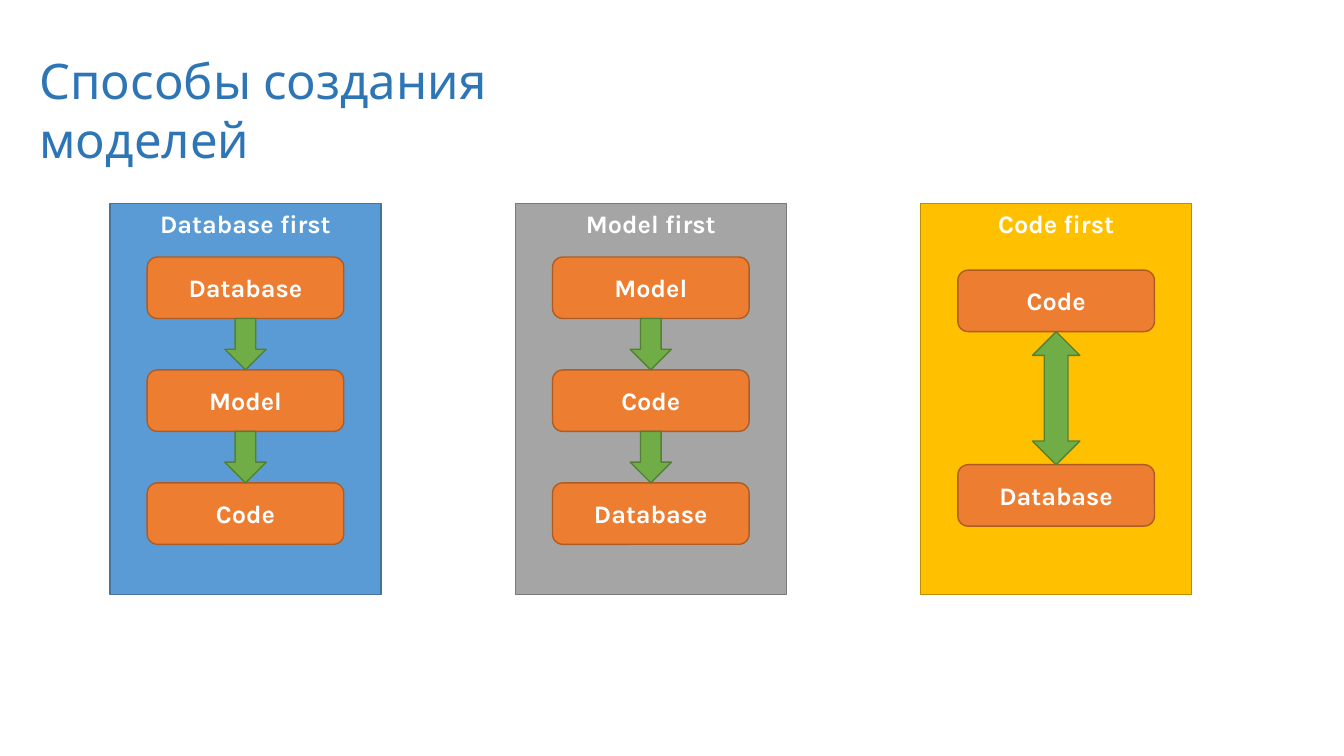
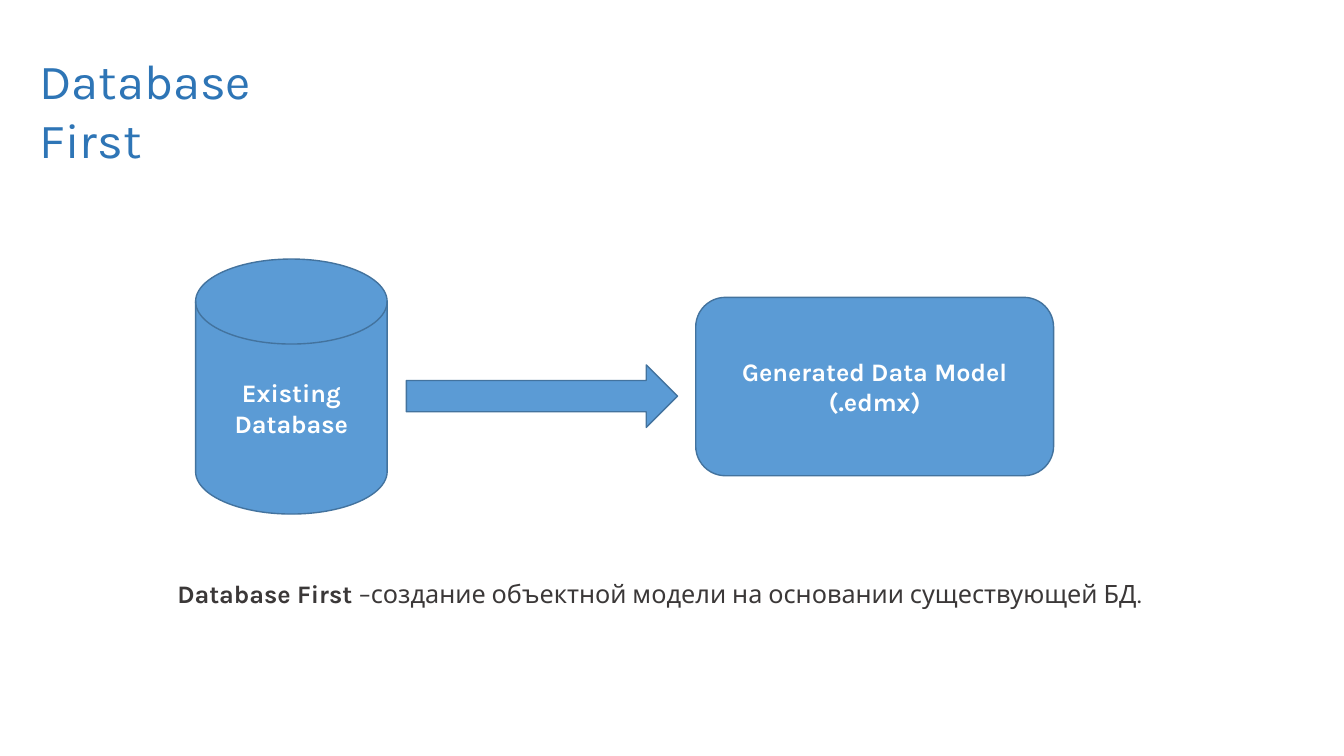
from dataclasses import dataclass

from pptx import Presentation
from pptx.dml.color import RGBColor
from pptx.enum.shapes import MSO_SHAPE as Preset
from pptx.enum.text import MSO_ANCHOR as Anchor, MSO_AUTO_SIZE as AutoSize, PP_ALIGN as Align
from pptx.util import Inches, Pt


@dataclass(frozen=True)
class Theme:
    font: str = "Karla"
    title_size: int = 35
    text_size: int = 18
    line_width: int = 1
    title: str = "2E75B6"
    body: str = "3B3838"
    on_fill: str = "FFFFFF"
    blue: tuple = ("5B9BD5", "43739E")
    gray: tuple = ("A5A5A5", "7A7A7A")
    gold: tuple = ("FFC000", "BD8E00")
    orange: tuple = ("ED7D31", "AF5C24")
    green: tuple = ("70AD47", "538035")


class Deck:
    """Draws styled elements on the current slide of a presentation."""

    def __init__(self, theme):
        self.theme = theme
        self.presentation = Presentation()
        self.presentation.slide_width = Inches(13.33)
        self.presentation.slide_height = Inches(7.5)
        self.slide = None

    def style_runs(self, paragraph, size, color, bold=False):
        for run in paragraph.runs:
            run.font.name = self.theme.font
            run.font.size = Pt(size)
            run.font.bold = bold
            run.font.color.rgb = RGBColor.from_string(color)

    def add_slide(self, title, title_width):
        layout = self.presentation.slide_layouts[5]
        self.slide = self.presentation.slides.add_slide(layout)
        shape = self.slide.shapes.title
        shape.left, shape.top = Inches(0.29), Inches(0.45)
        shape.width, shape.height = Inches(title_width), Inches(0.69)
        frame = shape.text_frame
        frame.text = title
        frame.word_wrap = True
        frame.auto_size = AutoSize.NONE
        frame.vertical_anchor = Anchor.TOP
        paragraph = frame.paragraphs[0]
        paragraph.alignment = Align.LEFT
        self.style_runs(paragraph, self.theme.title_size, self.theme.title)

    def add_block(self, preset, left, top, width, height, colors, text="", anchor=Anchor.MIDDLE):
        shape = self.slide.shapes.add_shape(
            preset, Inches(left), Inches(top), Inches(width), Inches(height))
        fill, line = colors
        shape.shadow.inherit = False
        shape.fill.solid()
        shape.fill.fore_color.rgb = RGBColor.from_string(fill)
        shape.line.color.rgb = RGBColor.from_string(line)
        shape.line.width = Pt(self.theme.line_width)
        if text:
            frame = shape.text_frame
            frame.text = text
            frame.word_wrap = True
            frame.vertical_anchor = anchor
            for paragraph in frame.paragraphs:
                paragraph.alignment = Align.CENTER
                self.style_runs(paragraph, self.theme.text_size, self.theme.on_fill, bold=True)

    def add_definition(self, term, meaning, left, top, width, height):
        shape = self.slide.shapes.add_textbox(
            Inches(left), Inches(top), Inches(width), Inches(height))
        frame = shape.text_frame
        frame.word_wrap = True
        paragraph = frame.paragraphs[0]
        for text in (term, meaning):
            paragraph.add_run().text = text
        self.style_runs(paragraph, self.theme.text_size, self.theme.body)
        paragraph.runs[0].font.bold = True

    def add_flow(self, left, heading, colors, steps, first_top, pitch, arrow, arrow_width):
        panel_width, step_width, step_height = 2.69, 1.95, 0.61
        center = left + panel_width / 2
        self.add_block(Preset.RECTANGLE, left, 2.02, panel_width, 3.88, colors,
                       heading, Anchor.TOP)
        tops = [first_top + index * pitch for index in range(len(steps))]
        for top, step in zip(tops, steps):
            self.add_block(Preset.ROUNDED_RECTANGLE, center - step_width / 2, top,
                           step_width, step_height, self.theme.orange, step)
        for top in tops[:-1]:
            self.add_block(arrow, center - arrow_width / 2, top + step_height,
                           arrow_width, pitch - step_height, self.theme.green)


def build_approaches(deck):
    theme = deck.theme
    one_way = (2.55, 1.12, Preset.DOWN_ARROW, 0.41)
    two_way = (2.68, 1.93, Preset.UP_DOWN_ARROW, 0.47)
    flows = [
        ("Database first", theme.blue, ("Database", "Model", "Code"), one_way),
        ("Model first", theme.gray, ("Model", "Code", "Database"), one_way),
        ("Code first", theme.gold, ("Code", "Database"), two_way),
    ]
    deck.add_slide("Способы создания моделей", 6.43)
    for column, (heading, colors, steps, layout) in enumerate(flows):
        deck.add_flow(1.09 + column * 4.02, heading, colors, steps, *layout)


def build_database_first(deck):
    blue = deck.theme.blue
    deck.add_slide("Database First", 3.3)
    deck.add_block(Preset.FLOWCHART_MAGNETIC_DISK, 1.94, 2.57, 1.9, 2.53, blue,
                   "Existing\nDatabase")
    deck.add_block(Preset.ROUNDED_RECTANGLE, 6.9, 2.95, 3.55, 1.77, blue,
                   "Generated Data Model (.edmx)")
    deck.add_block(Preset.RIGHT_ARROW, 4.03, 3.62, 2.69, 0.62, blue)
    deck.add_definition("Database First ",
                        "–создание объектной модели на основании существующей БД.",
                        1.66, 5.69, 9.85, 0.4)


def main():
    deck = Deck(Theme())
    build_approaches(deck)
    build_database_first(deck)
    deck.presentation.save("out.pptx")


if __name__ == "__main__":
    main()
